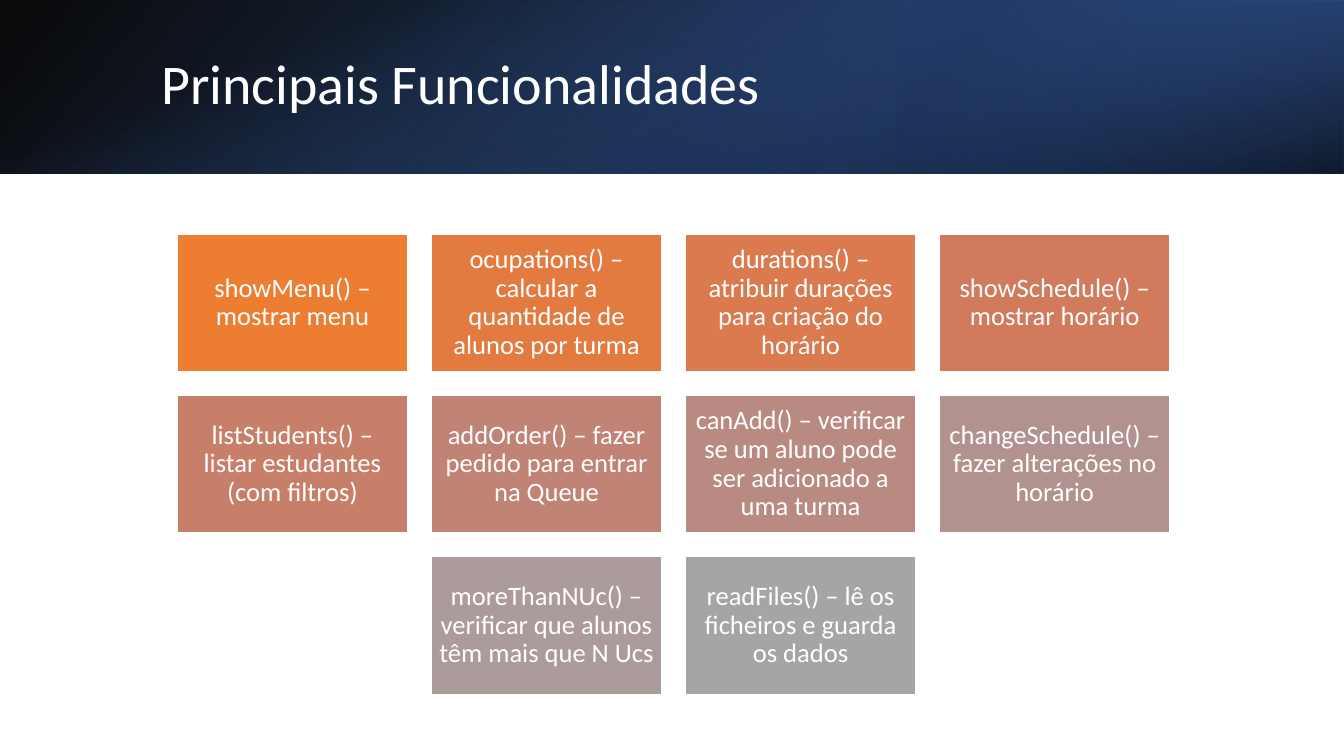
import pptx
import pptx.util
import pptx.dml.color
import pptx.enum.shapes
import pptx.enum.text
import pptx.oxml
import pptx.oxml.ns

Inches, Pt = pptx.util.Inches, pptx.util.Pt

# Content
TITLE = "Principais Funcionalidades"
ROWS = [
    [("showMenu() – mostrar menu", "ED7D31"),
     ("ocupations() – calcular a quantidade de alunos por turma", "E37A40"),
     ("durations() – atribuir durações para criação do horário", "DA7A4E"),
     ("showSchedule() – mostrar horário", "D17B5C")],
    [("listStudents() – listar estudantes (com filtros)", "C87F69"),
     ("addOrder() – fazer pedido para entrar na Queue", "C08376"),
     ("canAdd() – verificar se um aluno pode ser adicionado a uma turma", "B98A82"),
     ("changeSchedule() – fazer alterações no horário", "B2928E")],
    [("moreThanNUc() – verificar que alunos têm mais que N Ucs", "AB9B9A"),
     ("readFiles() – lê os ficheiros e guarda os dados", "A5A5A5")],
]
# Header layers: box, rotation, mirrored, clockwise angle, stops (percent, colour, opacity)
BANDS = [
    ((0, 0, 13.33, 1.72), 0, True, 140, [(0, "000000", 96), (100, "2F5597", 100)]),
    ((8.89, 0, 4.44, 1.72), 180, True, 320, [(19, "203864", 68), (100, "4472C4", 79)]),
    ((5.8, -5.8, 1.72, 13.33), 90, False, 340, [(23, "4472C4", 0), (99, "000000", 74)]),
]
FONT, WHITE = "Calibri", "FFFFFF"
MID, TOP = 6.68, 2.32
WIDE, HIGH, GAP = 2.29, 1.37, 0.23


def color(code):
    return pptx.dml.color.RGBColor.from_string(code)


def add_rect(slide, box):
    kind = pptx.enum.shapes.MSO_SHAPE.RECTANGLE
    rect = slide.shapes.add_shape(kind, *[Inches(n) for n in box])
    rect.shadow.inherit = False
    return rect


def add_band(slide, box, turn, flip, angle, stops):
    band = add_rect(slide, box)
    band.rotation = turn
    band.line.fill.background()
    if flip:
        band._element.spPr.xfrm.set("flipH", "1")
    band.fill.gradient()
    band.fill.gradient_angle = 360 - angle
    for stop, (place, code, alpha) in zip(band.fill.gradient_stops, stops):
        stop.position = place / 100
        stop.color.rgb = color(code)
    # Opacity of each stop
    tints = band._element.spPr.iter(pptx.oxml.ns.qn("a:srgbClr"))
    for tint, (place, code, alpha) in zip(list(tints), stops):
        mark = pptx.oxml.parse_xml(
            f'<a:alpha {pptx.oxml.ns.nsdecls("a")} val="{alpha * 1000}"/>')
        tint.append(mark)


def set_text(shape, text, size, align):
    frame = shape.text_frame
    frame.text = text
    frame.word_wrap = True
    frame.vertical_anchor = pptx.enum.text.MSO_ANCHOR.MIDDLE
    para = frame.paragraphs[0]
    para.alignment = align
    para.line_spacing = 0.9
    font = para.runs[0].font
    font.name, font.size, font.color.rgb = FONT, Pt(size), color(WHITE)
    return frame


def add_card(slide, box, text, code):
    card = add_rect(slide, box)
    card.fill.solid()
    card.fill.fore_color.rgb = color(code)
    card.line.color.rgb = color(WHITE)
    card.line.width = Pt(1)
    frame = set_text(card, text, 19, pptx.enum.text.PP_ALIGN.CENTER)
    frame.margin_left = frame.margin_right = Inches(0.08)
    frame.margin_top = frame.margin_bottom = Inches(0.08)


def main():
    deck = pptx.Presentation()
    deck.slide_width, deck.slide_height = Inches(13.33), Inches(7.5)
    slide = deck.slides.add_slide(deck.slide_layouts[5])

    # Header
    for band in BANDS:
        add_band(slide, *band)

    # Title, raised above the header
    title = slide.shapes.title
    title.left, title.top = Inches(1.5), Inches(0.38)
    title.width, title.height = Inches(10.98), Inches(0.96)
    set_text(title, TITLE, 40, pptx.enum.text.PP_ALIGN.LEFT)
    slide.shapes._spTree.append(title._element)

    # Cards, each row centred
    for i, row in enumerate(ROWS):
        left = MID - (len(row) * (WIDE + GAP) - GAP) / 2
        for j, (text, code) in enumerate(row):
            box = (left + j * (WIDE + GAP), TOP + i * (HIGH + GAP), WIDE, HIGH)
            add_card(slide, box, text, code)

    deck.save("out.pptx")


if __name__ == "__main__":
    main()
